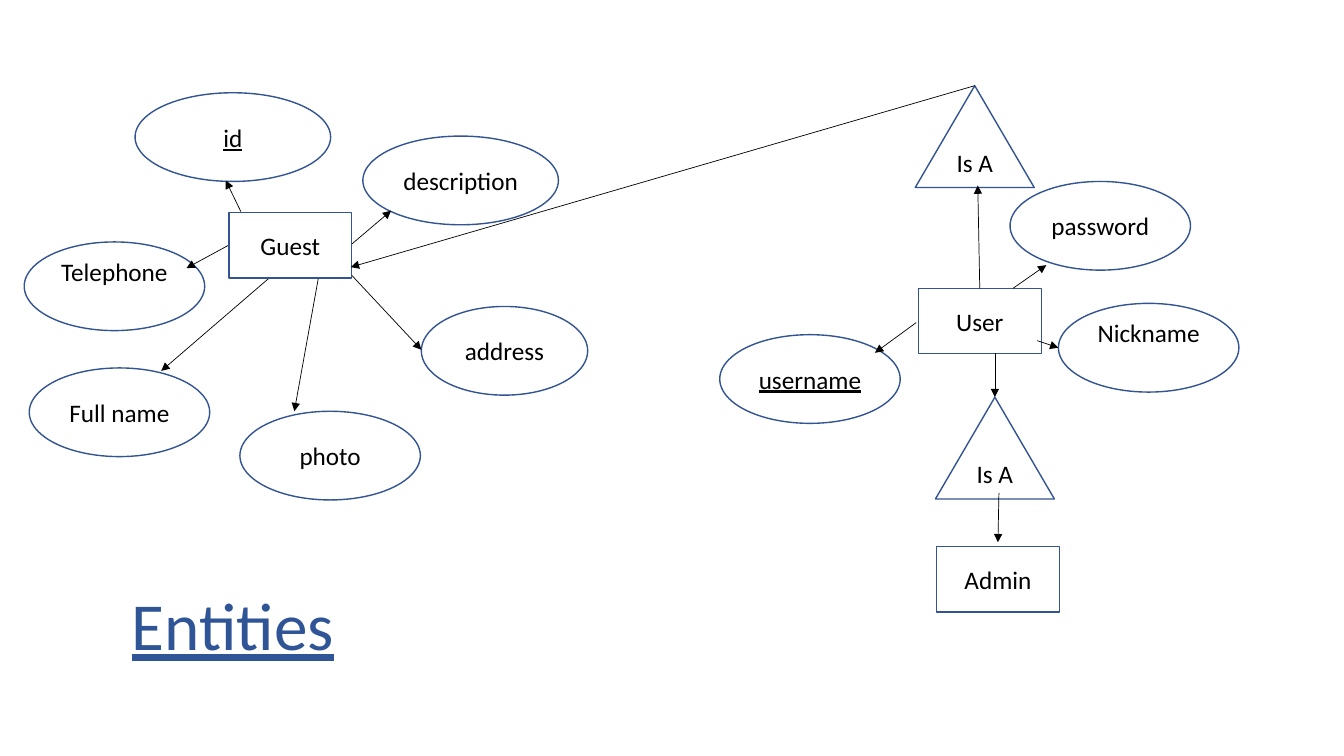
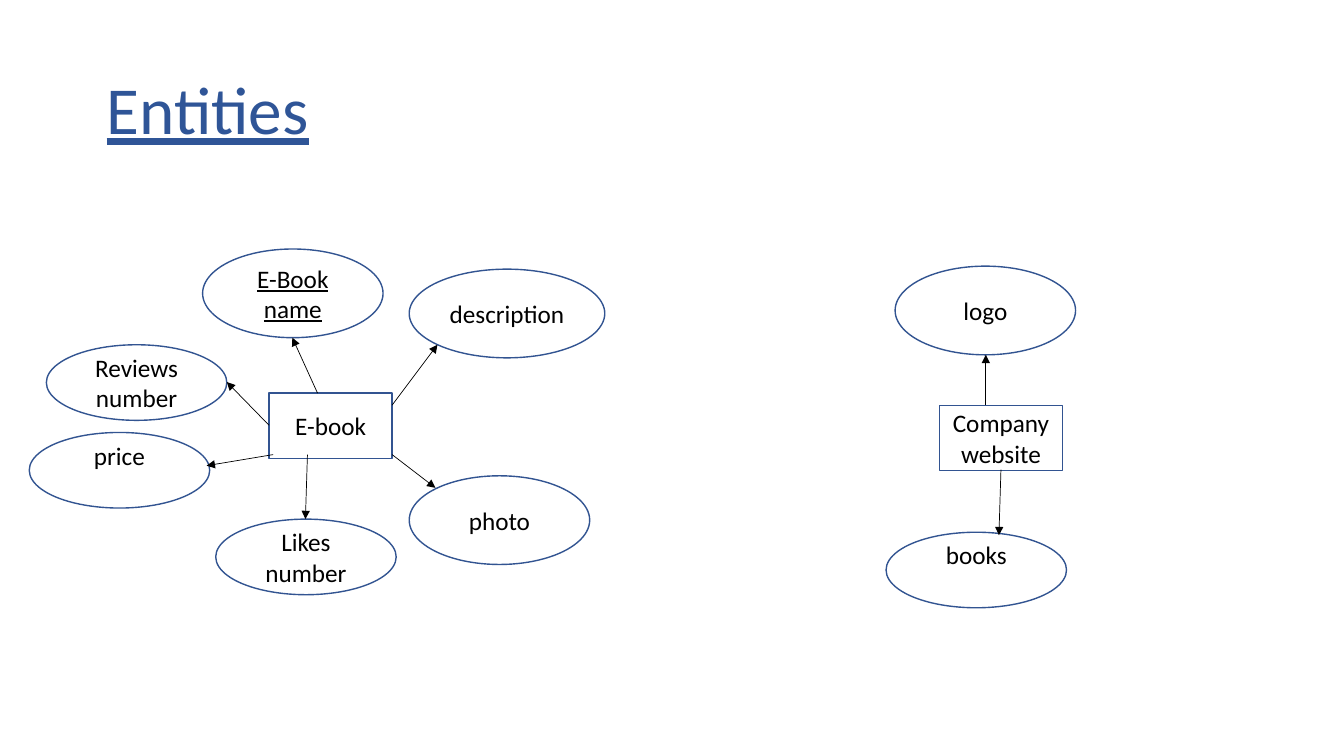
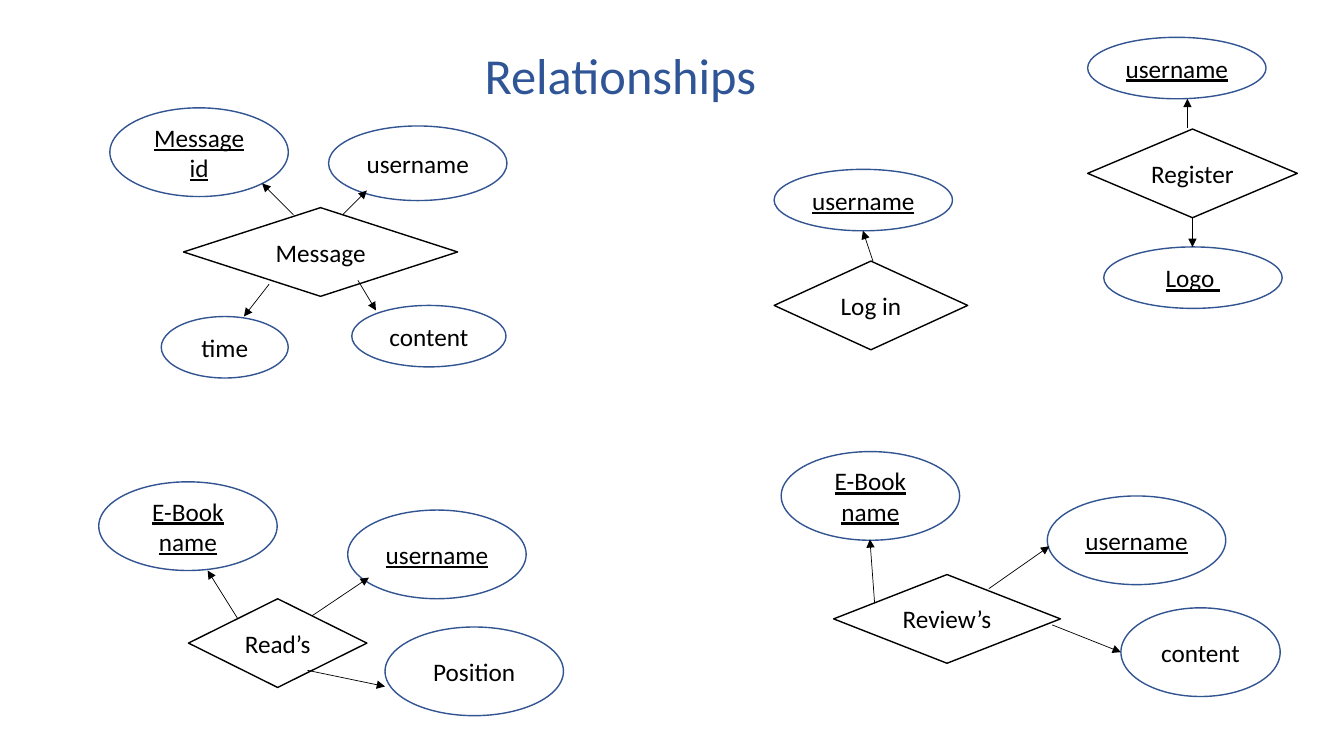
"""Build three slides of entity and relationship diagrams on a tenth-of-an-inch grid."""
import lxml.etree
import pptx
import pptx.dml.color
import pptx.enum.shapes
import pptx.enum.text
import pptx.oxml.ns
import pptx.util

COLORS = {"outline": "325491", "title": "2F5597", "ink": "000000", "paper": "FFFFFF"}
FONT = "Calibri"
CELL = pptx.util.Inches(0.1)
COLUMNS, ROWS = 133.33, 75
BLANK_LAYOUT = 6
ATTRIBUTE_HEIGHT = 8.8
LOW_HEIGHT = 7.5
FLAT_HEIGHT = 6.1
RAISED_INSET = 3.5
SHAPES = pptx.enum.shapes.MSO_SHAPE
CENTER = pptx.enum.text.PP_ALIGN.CENTER
LEFT = pptx.enum.text.PP_ALIGN.LEFT


def grid(*cells):
    return [round(cell * CELL) for cell in cells]


def color(name):
    return pptx.dml.color.RGBColor.from_string(COLORS[name])


def write(frame, text, size, ink, alignment, underline):
    frame.word_wrap = True
    paragraph = frame.paragraphs[0]
    paragraph.text = text
    paragraph.alignment = alignment
    paragraph.font.name = FONT
    paragraph.font.size = pptx.util.Pt(size)
    paragraph.font.color.rgb = color(ink)
    paragraph.font.underline = underline


def title(slide, text, left, top, width, height, size=48, alignment=CENTER, underline=True):
    frame = slide.shapes.add_textbox(*grid(left, top, width, height)).text_frame
    write(frame, text, size, "title", alignment, underline)
    frame.auto_size = pptx.enum.text.MSO_AUTO_SIZE.SHAPE_TO_FIT_TEXT


def node(slide, kind, text, left, top, width, height, outline="outline", filled=False, key=False):
    shape = slide.shapes.add_shape(kind, *grid(left, top, width, height))
    shape.shadow.inherit = False
    if filled:
        shape.fill.solid()
        shape.fill.fore_color.rgb = color("paper")
    else:
        shape.fill.background()
    shape.line.color.rgb = color(outline)
    shape.line.width = pptx.util.Pt(1)
    shape.text_frame.vertical_anchor = pptx.enum.text.MSO_ANCHOR.MIDDLE
    write(shape.text_frame, text, 18, "ink", CENTER, key)
    return shape


def entity(slide, text, left, top):
    node(slide, SHAPES.RECTANGLE, text, left, top, 12.2, 6.5, filled=True)


def is_a(slide, left, top):
    node(slide, SHAPES.ISOSCELES_TRIANGLE, "Is A", left, top, 11.8, 10.1)


def relationship(slide, text, left, top, width):
    node(slide, SHAPES.DIAMOND, text, left, top, width, 8.8, outline="ink", filled=True)


def attribute(slide, text, left, top, width=17.9, height=ATTRIBUTE_HEIGHT, key=False, raised=False):
    shape = node(slide, SHAPES.OVAL, text, left, top, width, height, key=key)
    if raised:
        shape.text_frame.margin_bottom = grid(RAISED_INSET)[0]


def arrows(slide, routes):
    for route in routes:
        connector = slide.shapes.add_connector(
            pptx.enum.shapes.MSO_CONNECTOR.STRAIGHT, *grid(*route))
        connector.line.color.rgb = color("ink")
        connector.line.width = pptx.util.Pt(0.5)
        properties = connector.element.spPr
        outline = properties.find(pptx.oxml.ns.qn("a:ln"))
        lxml.etree.SubElement(outline, pptx.oxml.ns.qn("a:tailEnd"), type="triangle")
        lxml.etree.SubElement(properties, pptx.oxml.ns.qn("a:effectLst"))


def people(slide):
    title(slide, "Entities", 3.6, 57.4, 39, 9.1)

    attribute(slide, "id", 13.4, 9.2, width=19.4, key=True)
    attribute(slide, "description", 36, 13.5, width=19.4)
    attribute(slide, "address", 41.8, 30.4, width=16.5)
    attribute(slide, "photo", 23.8, 40.8)
    attribute(slide, "Full name", 2.9, 36.5)
    attribute(slide, "Telephone", 2.4, 24, raised=True)
    arrows(slide, [
        (23.9, 21, 22.4, 17.9),
        (34.8, 24.3, 38.8, 20.9),
        (34.7, 27.1, 41.8, 34.7),
        (31.6, 27.5, 29.2, 40.8),
        (26.8, 27.5, 16, 36.8),
        (23.1, 24.1, 18.5, 26.6),
    ])
    entity(slide, "Guest", 22.7, 21.1)

    entity(slide, "User", 91.1, 28.6)
    attribute(slide, "password", 100.2, 18)
    attribute(slide, "Nickname", 105, 30.1, raised=True)
    attribute(slide, "username", 71.4, 33.2, key=True)
    arrows(slide, [
        (100.5, 28.6, 103.8, 26.3),
        (102.9, 33.8, 105, 34.5),
        (90.9, 32, 86.8, 35),
    ])

    is_a(slide, 90.8, 8.5)
    is_a(slide, 92.8, 39.4)
    entity(slide, "Admin", 92.9, 54.2)
    arrows(slide, [
        (97.2, 28.6, 97, 18.4),
        (96.7, 8.5, 34.8, 26.5),
        (98.7, 35, 98.7, 39.4),
        (99.1, 48.9, 99, 53.8),
    ])


def catalogue(slide):
    title(slide, "Entities", 1.1, 6.2, 39, 9.1)

    entity(slide, "E-book", 26.7, 39)
    attribute(slide, "E-Book name", 20.1, 24.7, key=True)
    attribute(slide, "description", 40.6, 26.7, width=19.4)
    attribute(slide, "photo", 40.6, 47.2)
    attribute(slide, "Likes number", 21.4, 51.5, height=LOW_HEIGHT)
    attribute(slide, "price", 2.9, 42.9, height=LOW_HEIGHT, raised=True)
    attribute(slide, "Reviews number", 4.6, 34.2, height=LOW_HEIGHT)
    arrows(slide, [
        (31.5, 39, 29, 33.5),
        (38.9, 40.2, 43.4, 34.2),
        (38.9, 45.1, 43.2, 48.4),
        (30.5, 45.1, 30.3, 51.5),
        (27.1, 45.1, 20.5, 46.2),
        (26.7, 42.2, 22.5, 37.9),
    ])

    entity(slide, "Company website", 93.2, 40.2)
    attribute(slide, "logo", 88.8, 26.4)
    attribute(slide, "books", 87.9, 52.8, height=LOW_HEIGHT, raised=True)
    arrows(slide, [(97.8, 40.2, 97.8, 35.2), (99.3, 46.6, 99.1, 53.1)])


def relationships(slide):
    title(slide, "Relationships", 47.1, 3.9, 29.6, 7.1, size=36, alignment=LEFT, underline=False)

    attribute(slide, "Message id", 10.9, 10.7, width=17.7, key=True)
    attribute(slide, "username", 32.6, 12.5, width=17.7, height=7.4)
    attribute(slide, "time", 16, 31.4, width=12.6, height=FLAT_HEIGHT)
    attribute(slide, "content", 34.9, 30.3, width=15.3, height=FLAT_HEIGHT)
    arrows(slide, [(29.1, 21.3, 26, 18.2), (33.5, 21.8, 36.4, 18.9)])
    relationship(slide, "Message", 18.2, 20.6, 27.2)
    arrows(slide, [(26.7, 28.2, 24.2, 31.4), (35.5, 27.8, 37.3, 30.8)])

    attribute(slide, "username", 76.8, 16.8, width=17.7, height=FLAT_HEIGHT, key=True)
    relationship(slide, "Log in", 76.8, 25.9, 19.2)
    arrows(slide, [(86.6, 25.9, 85.6, 22.9)])

    attribute(slide, "username", 107.9, 3.7, width=17.7, height=FLAT_HEIGHT, key=True)
    attribute(slide, "Logo ", 109.5, 24.5, width=17.7, height=FLAT_HEIGHT, key=True)
    relationship(slide, "Register", 107.9, 12.8, 20.8)
    arrows(slide, [(117.8, 12.7, 117.8, 9.8), (118.3, 21.5, 118.3, 24.5)])

    attribute(slide, "E-Book name", 9.8, 47.8, width=17.7, key=True)
    attribute(slide, "username", 34.5, 50.6, width=17.7, key=True)
    attribute(slide, "Position", 38.2, 62.2, width=17.7)
    arrows(slide, [(23.6, 61.4, 20.6, 56.6), (30.5, 61.4, 36.6, 57.3)])
    relationship(slide, "Read’s", 18.7, 59.4, 17.7)
    arrows(slide, [(30.5, 66.5, 38.2, 68.1)])

    attribute(slide, "E-Book name", 77.5, 44.8, width=17.7, key=True)
    attribute(slide, "username", 103.9, 49.2, width=17.7, key=True)
    attribute(slide, "content", 111.2, 60.3, width=15.8)
    arrows(slide, [(86.8, 60.3, 86.3, 53.5), (98.1, 58.4, 104.1, 54.2)])
    relationship(slide, "Review’s", 82.7, 57, 22.5)
    arrows(slide, [(104.4, 62, 111.2, 64.7)])


def main():
    presentation = pptx.Presentation()
    presentation.slide_width, presentation.slide_height = grid(COLUMNS, ROWS)
    for draw in (people, catalogue, relationships):
        draw(presentation.slides.add_slide(presentation.slide_layouts[BLANK_LAYOUT]))
    presentation.save("out.pptx")


main()
